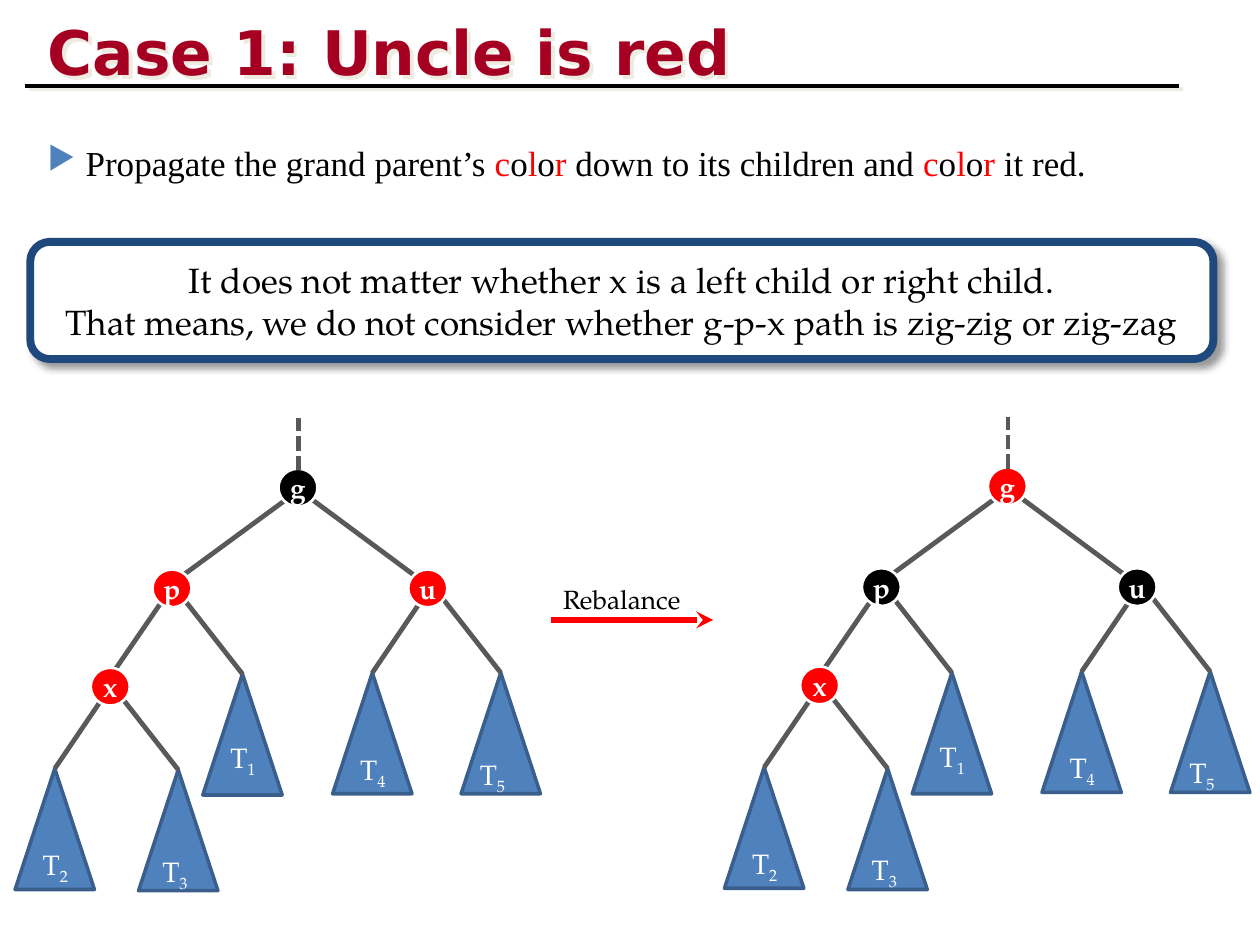
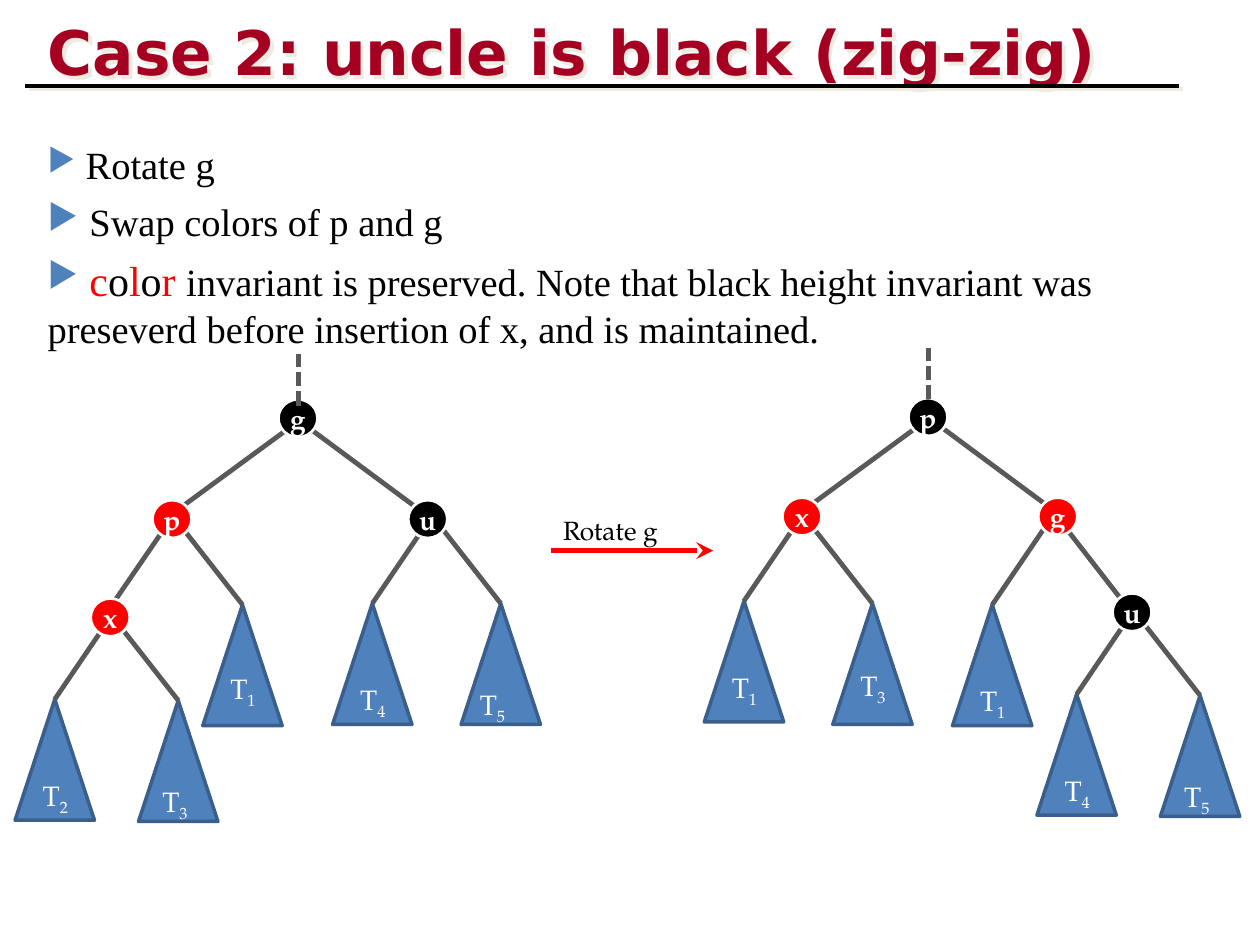
"""Build two slides on rebalancing a red-black tree after an insertion."""
from dataclasses import dataclass
from enum import Enum
from typing import NamedTuple, Optional

from lxml.etree import SubElement
from pptx import Presentation
from pptx.dml.color import RGBColor
from pptx.enum.dml import MSO_LINE
from pptx.enum.shapes import MSO_CONNECTOR, MSO_SHAPE
from pptx.enum.text import MSO_ANCHOR, MSO_AUTO_SIZE, PP_ALIGN
from pptx.oxml.ns import qn
from pptx.util import Emu, Pt

EMU_PER_PX = 9144
TITLE_FONT, BODY_FONT, TREE_FONT = "DejaVu Sans", "Times New Roman", "TeX Gyre Pagella"

BLACK = RGBColor(0x00, 0x00, 0x00)
WHITE = RGBColor(0xFF, 0xFF, 0xFF)
RED = RGBColor(0xFF, 0x00, 0x00)
CRIMSON = RGBColor(0xA5, 0x00, 0x21)
BEIGE = RGBColor(0xEE, 0xEC, 0xE1)
BLUE = RGBColor(0x4F, 0x81, 0xBD)
BLUE_EDGE = RGBColor(0x3A, 0x5F, 0x8C)
NAVY = RGBColor(0x1F, 0x49, 0x7D)
GRAY = RGBColor(0x59, 0x59, 0x59)

NODE_WIDTH, NODE_HEIGHT = 31, 30
SUBTREE_WIDTH, SUBTREE_HEIGHT = 63, 96
TRUNK_LENGTH = 41


class Span(NamedTuple):
    text: str
    size: int
    color: RGBColor = BLACK


class BranchRule(NamedTuple):
    reach_x: int
    reach_y: int
    land_x: int
    land_y: int


class Branch(Enum):
    WIDE_LEFT = BranchRule(79, -58, 10, -11)
    WIDE_RIGHT = BranchRule(-85, -63, -11, -11)
    LEFT = BranchRule(48, -70, 4, -13)
    RIGHT = BranchRule(-59, -76, -4, -5)


@dataclass(frozen=True)
class Node:
    key: str
    left: int
    top: int
    color: RGBColor
    branch: Optional[Branch] = None


@dataclass(frozen=True)
class Subtree:
    number: str
    left: int
    top: int
    branch: Branch
    label_left: int = 12
    label_top: int = 58


@dataclass(frozen=True)
class Tree:
    left: int
    top: int
    trunk_overlap: int
    nodes: list[Node]
    subtrees: list[Subtree]


def px(length: int) -> Emu:
    """Turn whole pixels into EMU."""
    return Emu(length * EMU_PER_PX)


def box(left: int, top: int, width: int, height: int) -> tuple[Emu, ...]:
    """Scale a frame for the add methods."""
    return px(left), px(top), px(width), px(height)


def set_shadow(shape, color: RGBColor = BLACK, alpha: int = 0, blur: float = 0, distance: float = 0) -> None:
    """Give a shape a 45 degree shadow, or none when alpha is zero."""
    effects = SubElement(shape._element.spPr, qn("a:effectLst"))
    if alpha:
        shadow = SubElement(effects, qn("a:outerShdw"), blurRad=str(Pt(blur)),
                            dist=str(Pt(distance)), dir="2700000", algn="tl", rotWithShape="0")
        tint = SubElement(shadow, qn("a:srgbClr"), val=str(color))
        SubElement(tint, qn("a:alpha"), val=str(alpha * 1000))


def set_font(font, name: str, size: float, color: RGBColor, bold: bool = False) -> None:
    """Set all the font properties used here."""
    font.name, font.size, font.bold = name, Pt(size), bold
    font.color.rgb = color


def add_line(shapes, start: tuple[int, int], end: tuple[int, int], color: RGBColor, weight: float):
    """Draw a straight connector."""
    line = shapes.add_connector(MSO_CONNECTOR.STRAIGHT, *map(px, start + end))
    line.line.color.rgb = color
    line.line.width = Pt(weight)
    return line


def add_outlined(slide, preset: MSO_SHAPE, frame: tuple[Emu, ...], fill: RGBColor, edge: RGBColor, weight: float):
    """Draw a filled preset shape without a theme shadow."""
    shape = slide.shapes.add_shape(preset, *frame)
    shape.fill.solid()
    shape.fill.fore_color.rgb = fill
    shape.line.color.rgb = edge
    shape.line.width = Pt(weight)
    return shape


def write_centered(shape, lines: list[str], size: int, color: RGBColor, bold: bool = False) -> None:
    """Write centred lines into a shape."""
    frame = shape.text_frame
    frame.word_wrap = False
    frame.vertical_anchor = MSO_ANCHOR.MIDDLE
    frame.text = "\n".join(lines)
    for paragraph in frame.paragraphs:
        paragraph.alignment = PP_ALIGN.CENTER
        set_font(paragraph.font, TREE_FONT, size, color, bold)


def add_titled_slide(deck, heading: str):
    """Add a slide with the shared title and rule."""
    slide = deck.slides.add_slide(deck.slide_layouts[5])
    title = slide.shapes.title
    title.left, title.top, title.width, title.height = box(28, 5, 906, 67)
    frame = title.text_frame
    frame.text = heading
    frame.auto_size = MSO_AUTO_SIZE.NONE
    frame.vertical_anchor = MSO_ANCHOR.BOTTOM
    frame.margin_top, frame.margin_bottom = 0, px(2)
    paragraph = frame.paragraphs[0]
    paragraph.alignment = PP_ALIGN.LEFT
    set_font(paragraph.font, TITLE_FONT, 35.1, CRIMSON, True)
    rule = add_line(slide.shapes, (20, 68), (936, 68), BLACK, 2.25)
    for part in (title, rule):
        set_shadow(part, BEIGE, 100, 0, 2.8)
    return slide


def color_word(size: int) -> list[Span]:
    """Spell the word color in alternating red and black."""
    letters = ("c", "o", "l", "o", "r ")
    return [Span(letter, size, BLACK if letter == "o" else RED) for letter in letters]


def add_bullets(slide, height: int, points: list[list[Span]]) -> None:
    """Write the bulleted points under the title."""
    frame = slide.shapes.add_textbox(*box(28, 107, 952, height)).text_frame
    frame.word_wrap = True
    for position, spans in enumerate(points):
        paragraph = frame.add_paragraph() if position else frame.paragraphs[0]
        properties = paragraph._p.get_or_add_pPr()
        tint = SubElement(properties, qn("a:buClr"))
        SubElement(tint, qn("a:srgbClr"), val=str(BLUE))
        SubElement(properties, qn("a:buSzPct"), val="90000")
        SubElement(properties, qn("a:buChar"), char="▶")
        paragraph.space_before = Pt(6)
        paragraph.font.name = BODY_FONT
        for span in spans:
            run = paragraph.add_run()
            run.text = span.text
            run.font.size = Pt(span.size)
            run.font.color.rgb = span.color


def add_subtree(slide, tree: Tree, subtree: Subtree) -> None:
    """Draw a labelled triangle and the branch to its apex."""
    left, top = tree.left + subtree.left, tree.top + subtree.top
    triangle = add_outlined(slide, MSO_SHAPE.ISOSCELES_TRIANGLE,
                            box(left, top, SUBTREE_WIDTH, SUBTREE_HEIGHT), BLUE, BLUE_EDGE, 2)
    set_shadow(triangle)
    label = slide.shapes.add_textbox(*box(left + subtree.label_left, top + subtree.label_top, 42, 37))
    label.text_frame.word_wrap = False
    paragraph = label.text_frame.paragraphs[0]
    set_font(paragraph.font, TREE_FONT, 16, WHITE)
    paragraph.add_run().text = "T"
    index = paragraph.add_run()
    index.text = subtree.number
    index._r.get_or_add_rPr().set("baseline", "-25000")
    apex = (left + SUBTREE_WIDTH // 2, top)
    add_branch(slide, subtree.branch, apex).end_connect(triangle, 0)


def add_branch(slide, branch: Branch, end: tuple[int, int]):
    """Draw a branch from its parent to the given end."""
    rule = branch.value
    start = (end[0] + rule.reach_x, end[1] + rule.reach_y)
    line = add_line(slide.shapes, start, end, GRAY, 2.75)
    set_shadow(line)
    return line


def add_tree(slide, tree: Tree) -> None:
    """Draw subtrees, branches, nodes and the dashed trunk."""
    for subtree in tree.subtrees:
        add_subtree(slide, tree, subtree)
    for node in tree.nodes:
        if node.branch:
            rule = node.branch.value
            add_branch(slide, node.branch, (tree.left + node.left + NODE_WIDTH // 2 + rule.land_x,
                                            tree.top + node.top + NODE_HEIGHT // 2 + rule.land_y))
    for node in tree.nodes:
        frame = box(tree.left + node.left, tree.top + node.top, NODE_WIDTH, NODE_HEIGHT)
        circle = add_outlined(slide, MSO_SHAPE.OVAL, frame, node.color, WHITE, 1.5)
        set_shadow(circle)
        write_centered(circle, [node.key], 16, WHITE, True)
    middle, foot = tree.left + NODE_WIDTH // 2 + 1, tree.top + tree.trunk_overlap
    trunk = add_line(slide.shapes, (middle, foot), (middle, foot - TRUNK_LENGTH), GRAY, 2.75)
    trunk.line.dash_style = MSO_LINE.SQUARE_DOT
    set_shadow(trunk)


def add_step(slide, action: str, top: int) -> None:
    """Draw the red arrow with its action, as one group."""
    step = slide.shapes.add_group_shape().shapes
    arrow = add_line(step, (437, top), (566, top), RED, 3.25)
    SubElement(arrow.line._get_or_add_ln(), qn("a:tailEnd"), type="stealth")
    set_shadow(arrow)
    frame = step.add_textbox(*box(437, top - 34, 129, 35)).text_frame
    frame.word_wrap = True
    frame.text = action
    set_font(frame.paragraphs[0].font, TREE_FONT, 15, BLACK)


def add_callout(slide, lines: list[str]) -> None:
    """Draw the framed remark."""
    callout = add_outlined(slide, MSO_SHAPE.ROUNDED_RECTANGLE, box(24, 192, 939, 93), WHITE, NAVY, 4.5)
    set_shadow(callout, BLACK, 40, 4, 4)
    write_centered(callout, lines, 20, BLACK)


def inserted_tree(left: int, top: int, overlap: int, g: RGBColor, p: RGBColor, u: RGBColor) -> Tree:
    """Describe the tree with x under p, p and u under g."""
    nodes = [Node("g", 0, 0, g), Node("p", -100, 80, p, Branch.WIDE_LEFT),
             Node("u", 103, 80, u, Branch.WIDE_RIGHT), Node("x", -149, 158, RED, Branch.LEFT)]
    subtrees = [Subtree("1", -60, 163, Branch.RIGHT, label_top=48),
                Subtree("5", 145, 162, Branch.RIGHT, 5, 62),
                Subtree("4", 43, 162, Branch.LEFT),
                Subtree("3", -111, 239, Branch.RIGHT, 9, 62),
                Subtree("2", -209, 238, Branch.LEFT)]
    return Tree(left, top, overlap, nodes, subtrees)


def rotated_tree() -> Tree:
    """Describe the tree after rotating g, with p as its root."""
    nodes = [Node("p", 0, 0, BLACK), Node("x", -100, 79, RED, Branch.WIDE_LEFT),
             Node("g", 103, 79, RED, Branch.WIDE_RIGHT), Node("u", 162, 155, BLACK, Branch.RIGHT)]
    subtrees = [Subtree("3", -60, 163, Branch.RIGHT, label_top=47),
                Subtree("1", -162, 161, Branch.LEFT, label_top=50),
                Subtree("1", 35, 164, Branch.LEFT),
                Subtree("5", 200, 236, Branch.RIGHT, 9, 62),
                Subtree("4", 102, 235, Branch.LEFT)]
    return Tree(721, 316, 1, nodes, subtrees)


def main() -> None:
    """Build and save the deck."""
    deck = Presentation()
    deck.slide_width, deck.slide_height = px(1000), px(750)

    red_uncle = add_titled_slide(deck, "Case 1: Uncle is red")
    add_bullets(red_uncle, 44, [[Span(" Propagate the grand parent’s ", 20), *color_word(20),
                                 Span("down to its children and ", 20), *color_word(20),
                                 Span("it red.", 20)]])
    add_callout(red_uncle, ["It does not matter whether x is a left child or right child.",
                            "That means, we do not consider whether g-p-x path is zig-zig or zig-zag"])
    add_tree(red_uncle, inserted_tree(221, 372, 1, BLACK, RED, RED))
    add_step(red_uncle, "Rebalance", 492)
    add_tree(red_uncle, inserted_tree(784, 371, 1, RED, BLACK, BLACK))

    black_uncle = add_titled_slide(deck, "Case 2: uncle is black (zig-zig)")
    add_bullets(black_uncle, 178, [
        [Span(" ", 20), Span("Rotate g", 22)],
        [Span(" Swap colors of p and g", 22)],
        [Span(" ", 22), *color_word(24),
         Span("invariant is preserved. Note that black height invariant was preseverd "
              "before insertion of x, and is maintained.", 22)]])
    add_tree(black_uncle, inserted_tree(221, 317, 5, BLACK, RED, BLACK))
    add_step(black_uncle, "Rotate g", 437)
    add_tree(black_uncle, rotated_tree())

    deck.save("out.pptx")


if __name__ == "__main__":
    main()
